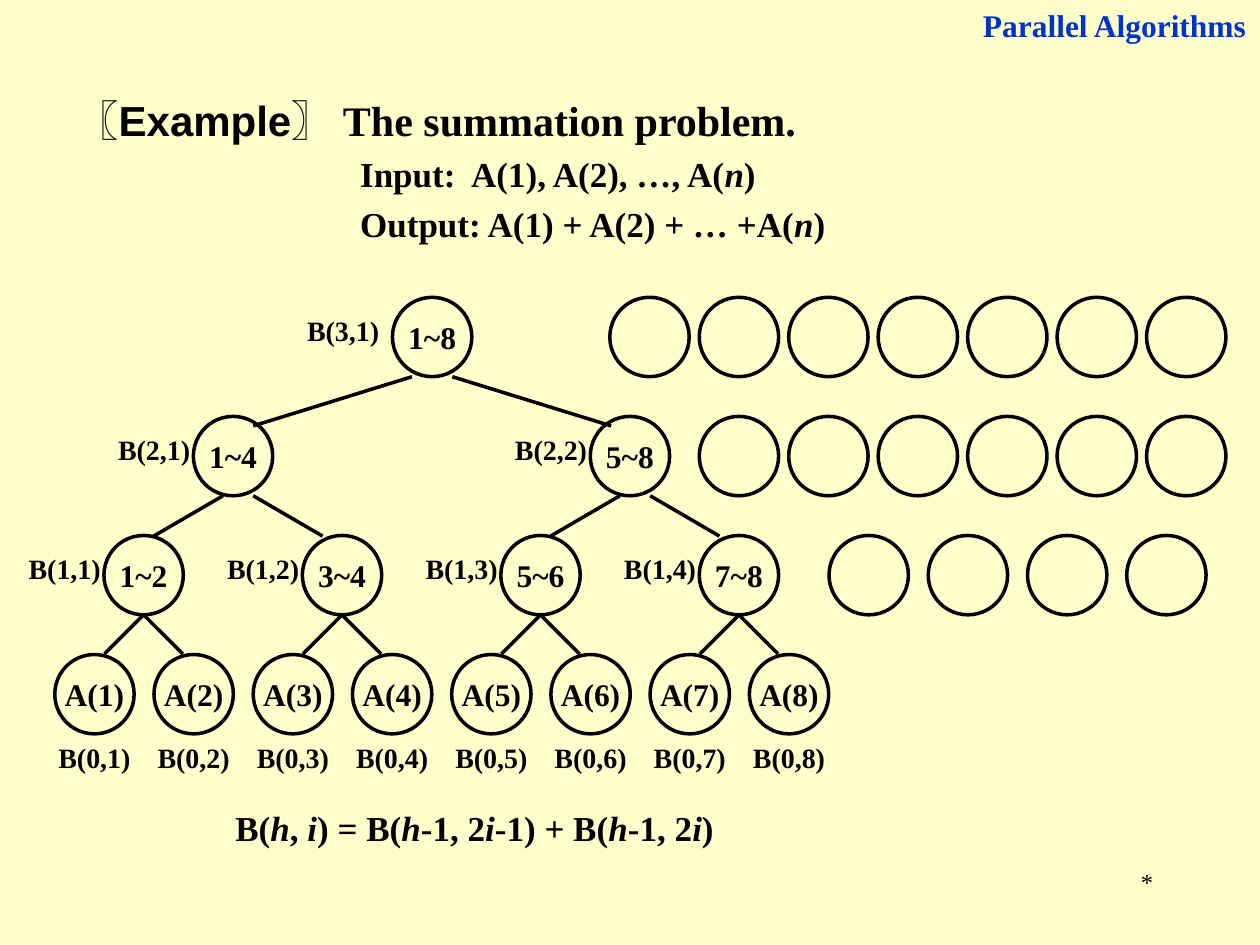
from dataclasses import dataclass

from lxml import etree
from pptx import Presentation
from pptx.dml.color import RGBColor
from pptx.enum.shapes import MSO_CONNECTOR, MSO_SHAPE
from pptx.enum.text import MSO_ANCHOR, PP_ALIGN
from pptx.oxml.ns import qn
from pptx.util import Inches, Pt

STRAIGHT = MSO_CONNECTOR.STRAIGHT
OVAL = MSO_SHAPE.OVAL
MIDDLE = MSO_ANCHOR.MIDDLE
CENTER, RIGHT = PP_ALIGN.CENTER, PP_ALIGN.RIGHT

BLACK = RGBColor(0x00, 0x00, 0x00)
BLUE = RGBColor(0x00, 0x33, 0xCC)
CREAM = RGBColor(0xFF, 0xFF, 0xCC)

SERIF, SANS, CHINESE = "Times New Roman", "Arial", "Noto Sans CJK SC"

DIAMETER = 0.63
LEAF_PITCH = 6.3 / 8
LEVEL_PITCH = 1.2 * LEAF_PITCH
LABEL_WIDTH, LABEL_HEIGHT = LEAF_PITCH, 0.37


@dataclass
class Level:
    first_center: float
    label_offset: tuple
    edge_center: float = 0
    edge_start: float = 0
    edge_end: float = 0
    edge_drop: float = 0
    idle_left: float = 0
    idle_count: int = 0
    idle_pitch: float = 0.71


LEVELS = [
    Level(0.39, (-LABEL_WIDTH / 2, DIAMETER)),
    Level(0.78, (-1.02, 0.08), 0, 0, 0.31, 0.31, 6.22, 4, LEAF_PITCH),
    Level(1.49, (-1.02, 0.08), 0.04, 0.12, 0.67, 0.32, 5.19, 6),
    Level(3.07, (-1.1, 0.08), 0, 0.16, 1.42, 0.39, 4.48, 7),
]


def set_font(font, size, color=BLACK, name=SERIF, bold=True):
    font.name = name
    font.size = Pt(size)
    font.bold = bold
    font.color.rgb = color


def add_text_box(shapes, left, top, width, height, wrap=True):
    box = shapes.add_textbox(Inches(left), Inches(top), Inches(width), Inches(height))
    box.text_frame.word_wrap = wrap
    return box.text_frame


def add_line_of_text(shapes, box, text, size, align, color=BLACK, bold=True, wrap=True):
    paragraph = add_text_box(shapes, *box, wrap=wrap).paragraphs[0]
    paragraph.text = text
    paragraph.alignment = align
    set_font(paragraph.font, size, color, bold=bold)


def add_formula(paragraph, text, size):
    set_font(paragraph.font, size)
    for index, part in enumerate(text.split("_")):
        run = paragraph.add_run()
        run.text = part
        run.font.italic = index % 2 == 1


def add_problem(slide, left, top, width, height):
    frame = add_text_box(slide.shapes, left, top, width, height)
    heading = frame.paragraphs[0]
    set_font(heading.font, 24)
    parts = [("〖", CHINESE), ("Example", SANS), ("〗 ", CHINESE),
             ("The summation problem.", SERIF)]
    for text, name in parts:
        run = heading.add_run()
        run.text = text
        run.font.name = name
        if name == CHINESE:
            etree.SubElement(run.font._element, qn("a:ea"), typeface=name)
    for text in ("Input:  A(1), A(2), …, A(_n_)", "Output: A(1) + A(2) + … +A(_n_)"):
        paragraph = frame.add_paragraph()
        paragraph._p.get_or_add_pPr().set("marL", str(Inches(2.25)))
        paragraph.space_before = Pt(4.5)
        add_formula(paragraph, text, 20)


def add_node(shapes, left, top, text=""):
    node = shapes.add_shape(OVAL, Inches(left), Inches(top), Inches(DIAMETER), Inches(DIAMETER))
    node.shadow.inherit = False
    node.fill.background()
    node.line.color.rgb = BLACK
    node.line.width = Pt(2)
    if text:
        frame = node.text_frame
        frame.word_wrap = False
        frame.vertical_anchor = MIDDLE
        paragraph = frame.paragraphs[0]
        paragraph.text = text
        paragraph.alignment = CENTER
        set_font(paragraph.font, 18)


def add_edge(shapes, x1, y1, x2, y2):
    edge = shapes.add_connector(STRAIGHT, Inches(x1), Inches(y1), Inches(x2), Inches(y2))
    edge.line.color.rgb = BLACK
    edge.line.width = Pt(2)
    etree.SubElement(edge._element.spPr, qn("a:effectLst"))


def add_level(slide, left, top, height, leaf_count):
    level = LEVELS[height]
    shapes = slide.shapes.add_group_shape().shapes
    span = 2 ** height
    for index in range(leaf_count // span):
        center = left + level.first_center + index * span * LEAF_PITCH
        first = index * span + 1
        text = f"{first}~{first + span - 1}" if height else f"A({first})"
        add_node(shapes, center - DIAMETER / 2, top, text)
        dx, dy = level.label_offset
        label_box = (center + dx, top + dy, LABEL_WIDTH, LABEL_HEIGHT)
        add_line_of_text(shapes, label_box, f"B({height},{index + 1})", 16, CENTER, wrap=False)
        if height:
            middle = center + level.edge_center
            bottom = top + DIAMETER
            for side in (-1, 1):
                add_edge(shapes, middle + side * level.edge_start, bottom,
                         middle + side * level.edge_end, bottom + level.edge_drop)
    for index in range(level.idle_count):
        add_node(shapes, left + level.idle_left + index * level.idle_pitch, top)


def add_tree(slide, left, top):
    for height in range(len(LEVELS)):
        level_top = top + (len(LEVELS) - 1 - height) * LEVEL_PITCH
        add_level(slide, left, level_top, height, 8)


def add_recurrence(slide, left, top, width, height):
    frame = add_text_box(slide.shapes, left, top, width, height, wrap=False)
    add_formula(frame.paragraphs[0], "B(_h_, _i_) = B(_h_-1, 2_i_-1) + B(_h_-1, 2_i_)", 20)


def main():
    presentation = Presentation()
    presentation.slide_width = Inches(10)
    presentation.slide_height = Inches(7.5)
    slide = presentation.slides.add_slide(presentation.slide_layouts[6])
    slide.background.fill.solid()
    slide.background.fill.fore_color.rgb = CREAM
    add_line_of_text(slide.shapes, (7.17, 6.83, 2.08, 0.5), "*", 14, RIGHT, bold=False)
    add_problem(slide, 0.51, 0.7, 7.48, 1.3)
    add_line_of_text(slide.shapes, (7.36, 0, 2.63, 0.4), "Parallel Algorithms", 18, RIGHT, BLUE)
    add_tree(slide, 0.36, 2.36)
    add_recurrence(slide, 1.77, 6.35, 4.1, 0.44)
    presentation.save("out.pptx")


if __name__ == "__main__":
    main()
